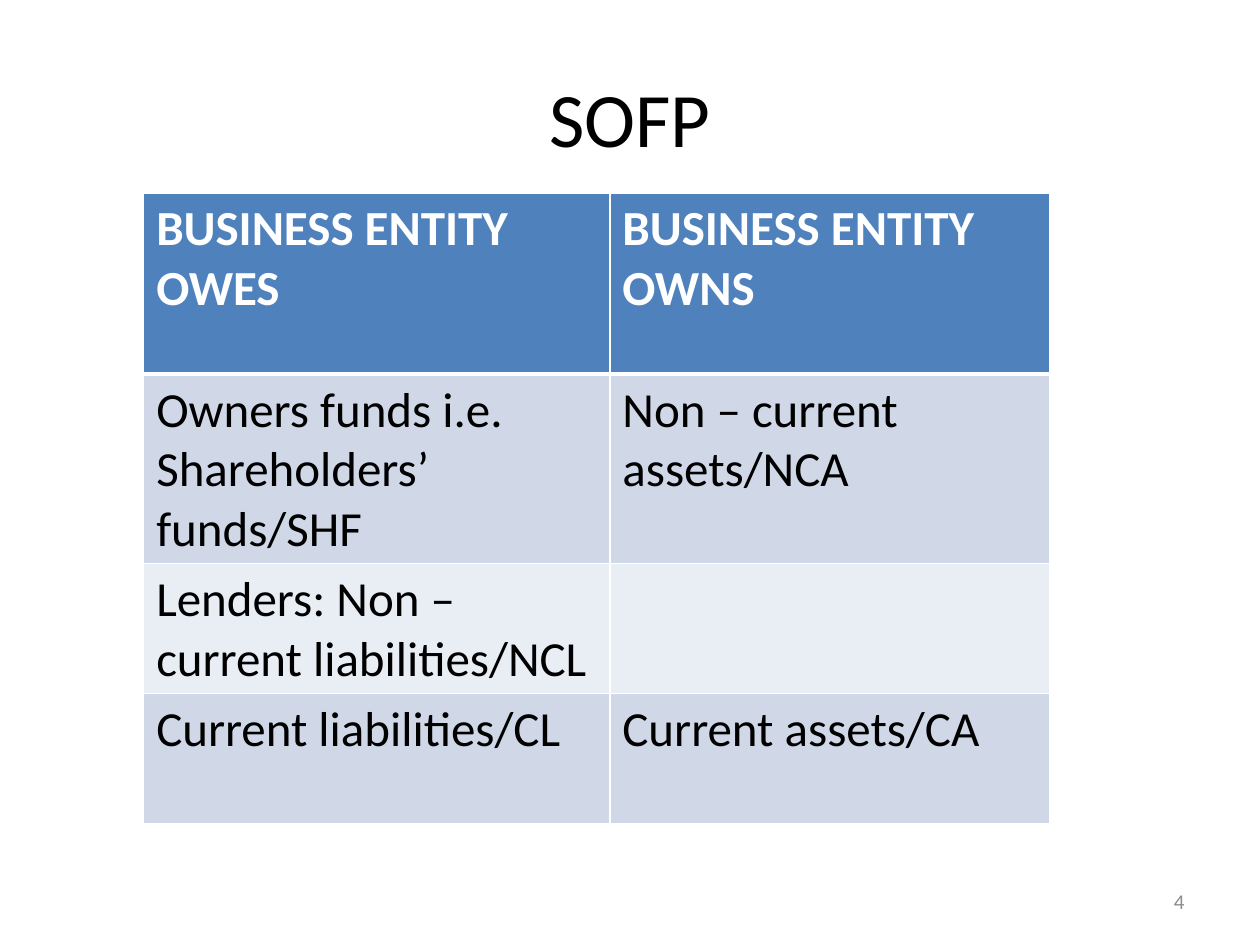
from dataclasses import dataclass

from lxml import etree
from pptx import Presentation
from pptx.dml.color import RGBColor
from pptx.enum.text import MSO_ANCHOR, PP_ALIGN
from pptx.oxml.ns import qn
from pptx.util import Inches, Pt

CENTER, RIGHT = PP_ALIGN.CENTER, PP_ALIGN.RIGHT
MIDDLE = MSO_ANCHOR.MIDDLE
FONT = "Calibri"
WHITE, BLACK, GREY = "FFFFFF", "000000", "8C8C8C"
HEADER_FILL, BAND_FILLS = "4F81BD", ("D0D8E8", "E9EDF4")
COLUMN_WIDTHS = (3.7, 3.49)
HEADER_HEIGHT, BODY_HEIGHT = 1.44, 1.03
THIN_RULE, HEADER_RULE = 1, 3


@dataclass
class SofpRow:
    owes: str
    owns: str


ROWS = (
    SofpRow("BUSINESS ENTITY OWES", "BUSINESS ENTITY OWNS"),
    SofpRow("Owners funds i.e. Shareholders’ funds/SHF", "Non – current assets/NCA"),
    SofpRow("Lenders: Non – current liabilities/NCL", ""),
    SofpRow("Current liabilities/CL", "Current assets/CA"),
)


def rgb(value: str) -> RGBColor:
    return RGBColor.from_string(value)


def write(frame, text: str, size: float, color: str, bold: bool = False, align=None) -> None:
    paragraph = frame.paragraphs[0]
    paragraph.alignment = align
    run = paragraph.add_run()
    run.text = text
    for attribute, value in {"name": FONT, "size": Pt(size), "bold": bold}.items():
        setattr(run.font, attribute, value)
    run.font.color.rgb = rgb(color)


def add_borders(cell, widths: dict[str, float]) -> None:
    """Draw white cell borders; must run before the cell's fill is set."""
    properties = cell._tc.get_or_add_tcPr()
    for side, width in widths.items():
        line = etree.SubElement(properties, qn(f"a:ln{side}"), w=str(Pt(width)))
        fill = etree.SubElement(line, qn("a:solidFill"))
        etree.SubElement(fill, qn("a:srgbClr"), val=WHITE)


def fill_cell(cell, text: str, row_index: int) -> None:
    is_header = row_index == 0
    add_borders(cell, {
        "L": THIN_RULE,
        "R": THIN_RULE,
        "T": HEADER_RULE if row_index == 1 else THIN_RULE,
        "B": HEADER_RULE if is_header else THIN_RULE,
    })
    cell.fill.solid()
    cell.fill.fore_color.rgb = rgb(HEADER_FILL if is_header else BAND_FILLS[(row_index - 1) % 2])
    if text:
        write(cell.text_frame, text, 28, WHITE if is_header else BLACK, is_header)


def add_sofp_table(slide) -> None:
    heights = [HEADER_HEIGHT] + [BODY_HEIGHT] * (len(ROWS) - 1)
    table = slide.shapes.add_table(
        len(ROWS), len(COLUMN_WIDTHS), Inches(1.14), Inches(1.53),
        Inches(sum(COLUMN_WIDTHS)), Inches(sum(heights)),
    ).table
    for column, width in zip(table.columns, COLUMN_WIDTHS):
        column.width = Inches(width)
    for row_index, (entry, height) in enumerate(zip(ROWS, heights)):
        table.rows[row_index].height = Inches(height)
        for column_index, text in enumerate((entry.owes, entry.owns)):
            fill_cell(table.cell(row_index, column_index), text, row_index)


def add_page_number(slide, number: str) -> None:
    page_number = slide.shapes.add_textbox(Inches(7.17), Inches(6.95), Inches(2.33), Inches(0.4))
    frame = page_number.text_frame
    frame.word_wrap = True
    frame.vertical_anchor = MIDDLE
    write(frame, number, 12, GREY, align=RIGHT)


def main() -> None:
    presentation = Presentation()
    presentation.slide_width, presentation.slide_height = Inches(10), Inches(7.5)
    slide = presentation.slides.add_slide(presentation.slide_layouts[5])

    title = slide.shapes.title
    title.left, title.top = Inches(0.5), Inches(0.3)
    title.width, title.height = Inches(9), Inches(1.25)
    title.text_frame.vertical_anchor = MIDDLE
    write(title.text_frame, "SOFP", 44, BLACK, align=CENTER)

    add_page_number(slide, "4")
    add_sofp_table(slide)
    presentation.save("out.pptx")


if __name__ == "__main__":
    main()
